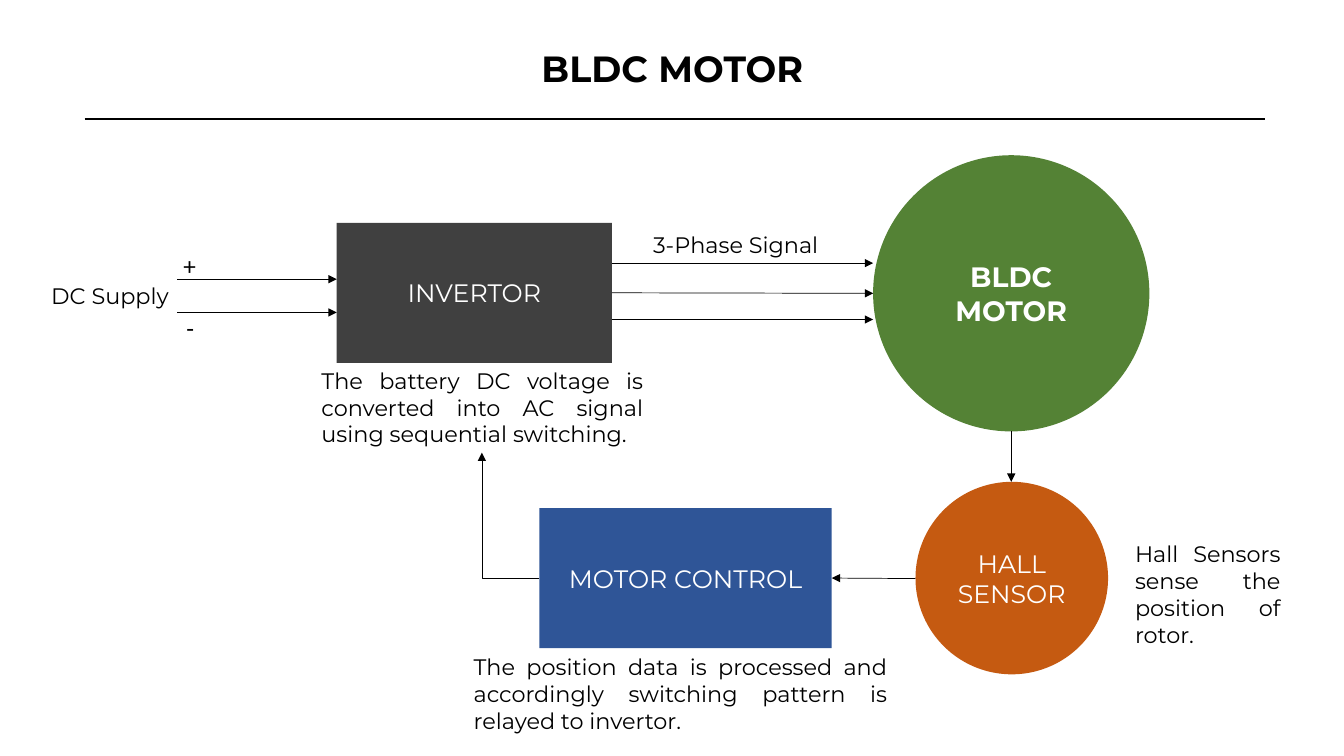
from dataclasses import dataclass

import pptx
import pptx.dml.color
import pptx.enum.shapes
import pptx.enum.text
import pptx.oxml
import pptx.oxml.ns
import pptx.util

PX = 9144  # 100 px to the inch
ALIGN = pptx.enum.text.PP_ALIGN
SHAPE = pptx.enum.shapes.MSO_SHAPE
CONNECTOR = pptx.enum.shapes.MSO_CONNECTOR
TOP, LEFT, BOTTOM, RIGHT = range(4)


@dataclass(frozen=True)
class Theme:
    font: str = "Montserrat"
    sign_font: str = "Calibri"
    ink: str = "000000"
    on_fill: str = "FFFFFF"
    invertor: str = "404040"
    motor: str = "548235"
    sensor: str = "C55A11"
    control: str = "2F5597"
    title_size: int = 26
    motor_size: int = 20
    block_size: int = 18
    note_size: int = 16
    rule_width: float = 1
    arrow_width: float = 0.5


THEME = Theme()


@dataclass(frozen=True)
class Box:
    x: int
    y: int
    w: int
    h: int

    def inner(self, dx, dy, w, h):
        return Box(self.x + dx, self.y + dy, w, h)

    def emu(self):
        return [PX * length for length in (self.x, self.y, self.w, self.h)]


def rgb(code):
    return pptx.dml.color.RGBColor.from_string(code)


def write(frame, text, size, color, align, font=THEME.font, bold=False):
    frame.text = text
    paragraph = frame.paragraphs[0]
    paragraph.alignment = align
    style = paragraph.runs[0].font
    style.name, style.size, style.bold = font, pptx.util.Pt(size), bold
    style.color.rgb = rgb(color)
    return paragraph


def add_label(slide, box, text, size=THEME.note_size, align=ALIGN.JUSTIFY, wrap=True, **style):
    frame = slide.shapes.add_textbox(*box.emu()).text_frame
    frame.word_wrap = wrap
    return write(frame, text, size, THEME.ink, align, **style)


def add_block(slide, kind, box, text, fill, size=THEME.block_size, bold=False):
    block = slide.shapes.add_shape(kind, *box.emu())
    block.shadow.inherit = False
    block.fill.solid()
    block.fill.fore_color.rgb = rgb(fill)
    block.line.fill.background()
    block.text_frame.vertical_anchor = pptx.enum.text.MSO_ANCHOR.MIDDLE
    write(block.text_frame, text, size, THEME.on_fill, ALIGN.CENTER, bold=bold)
    return block


def add_line(slide, start, end, kind=CONNECTOR.STRAIGHT, width=THEME.arrow_width, arrow=True):
    line = slide.shapes.add_connector(kind, *(PX * length for length in (*start, *end)))
    line.line.color.rgb = rgb(THEME.ink)
    line.line.width = pptx.util.Pt(width)
    if arrow:
        head = pptx.oxml.parse_xml(f'<a:tailEnd {pptx.oxml.ns.nsdecls("a")} type="triangle"/>')
        line.line._get_or_add_ln().append(head)
    properties = line._element.spPr
    properties.append(pptx.oxml.parse_xml(f'<a:effectLst {pptx.oxml.ns.nsdecls("a")}/>'))
    return line


def heading(slide, box):
    title = add_label(slide, box.inner(316, 0, 534, 54), "BLDC MOTOR",
                      THEME.title_size, ALIGN.CENTER, bold=True)
    title.line_spacing = 0.9
    title.space_before = pptx.util.Pt(10)
    rule_y = box.y + box.h
    add_line(slide, (box.x, rule_y), (box.x + box.w, rule_y),
             width=THEME.rule_width, arrow=False)


def dc_supply(slide, box):
    """Place the supply label and its two poles, with arrows to the right edge."""
    add_label(slide, box.inner(0, 32, 141, 37), "DC Supply", align=ALIGN.LEFT, wrap=False)
    for sign, dx, dy, w, arrow_dy in (("+", 131, 0, 33, 34), ("-", 134, 62, 28, 67)):
        add_label(slide, box.inner(dx, dy, w, 40), sign, THEME.block_size,
                  ALIGN.LEFT, wrap=False, font=THEME.sign_font)
        y = box.y + arrow_dy
        add_line(slide, (box.x + 135, y), (box.x + box.w, y))


def invertor(slide, box):
    block = add_block(slide, SHAPE.RECTANGLE, box, "INVERTOR", THEME.invertor)
    add_label(slide, box.inner(-25, box.h - 1, 339, 90),
              "The battery DC voltage is converted into AC signal using sequential switching.")
    return block


def phase_signal(slide, box, source):
    """Place three arrows across the box; the middle one leaves the source."""
    add_label(slide, box.inner(31, 0, 197, 37), "3-Phase Signal")
    for dy in (37, 67, 93):
        y = box.y + dy
        arrow = add_line(slide, (box.x, y), (box.x + box.w, y))
        if dy == 67:
            arrow.begin_connect(source, RIGHT)


def motor(slide, box):
    add_block(slide, SHAPE.OVAL, box, "BLDC MOTOR", THEME.motor, THEME.motor_size, bold=True)


def hall_sensor(slide, box, motor_bottom):
    add_block(slide, SHAPE.OVAL, box, "HALL SENSOR", THEME.sensor)
    center_x = box.x + box.w // 2
    add_line(slide, (center_x, motor_bottom), (center_x, box.y))
    add_label(slide, box.inner(208, 53, 164, 118), "Hall Sensors sense the position of rotor.")


def motor_control(slide, box, sensor_left):
    """Place the control block, its input from the sensor and its feedback arrow."""
    block = add_block(slide, SHAPE.RECTANGLE, box, "MOTOR CONTROL", THEME.control)
    y = box.y + box.h // 2 + 1
    sensor_input = add_line(slide, (sensor_left, y), (box.x + box.w, y))
    sensor_input.end_connect(block, RIGHT)
    feedback = add_line(slide, (box.x, y), (box.x - 57, box.y - 55), CONNECTOR.ELBOW)
    feedback._element.spPr.find(pptx.oxml.ns.qn("a:prstGeom")).set("prst", "bentConnector2")
    add_label(slide, box.inner(-75, box.h, 430, 91),
              "The position data is processed and accordingly switching pattern "
              "is relayed to invertor.")


def main():
    deck = pptx.Presentation()
    deck.slide_width, deck.slide_height = pptx.util.Inches(13.33), pptx.util.Inches(7.5)
    slide = deck.slides.add_slide(deck.slide_layouts[6])

    invertor_box = Box(334, 221, 273, 139)
    motor_box = Box(866, 154, 274, 274)
    sensor_box = Box(908, 478, 191, 191)
    signal_x = invertor_box.x + invertor_box.w

    heading(slide, Box(84, 46, 1171, 72))
    source = invertor(slide, invertor_box)
    motor(slide, motor_box)
    phase_signal(slide, Box(signal_x, 224, motor_box.x - signal_x, 93), source)
    hall_sensor(slide, sensor_box, motor_box.y + motor_box.h)
    motor_control(slide, Box(535, 504, 290, 139), sensor_box.x)
    dc_supply(slide, Box(41, 243, invertor_box.x - 41, 102))
    deck.save("out.pptx")


if __name__ == "__main__":
    main()
